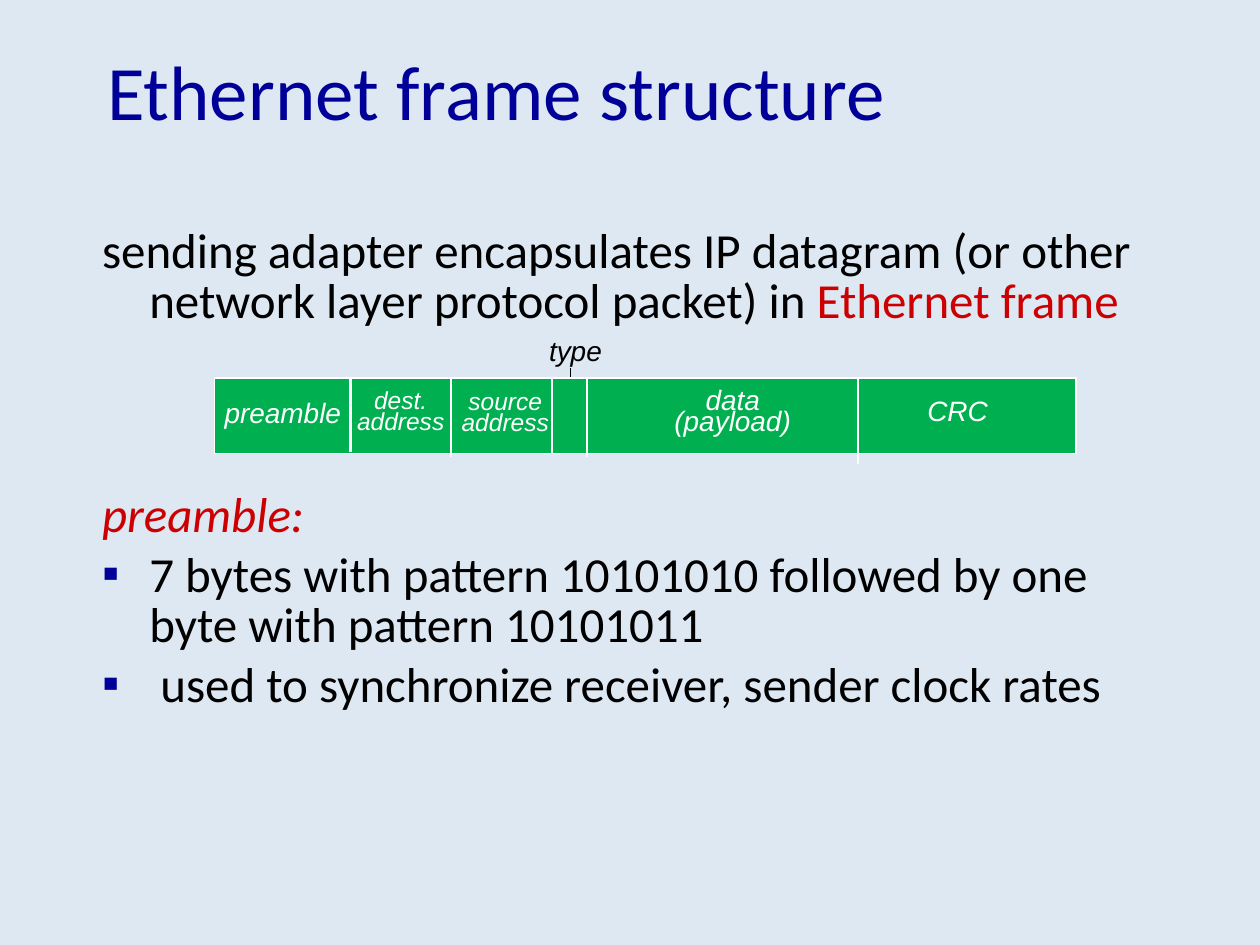
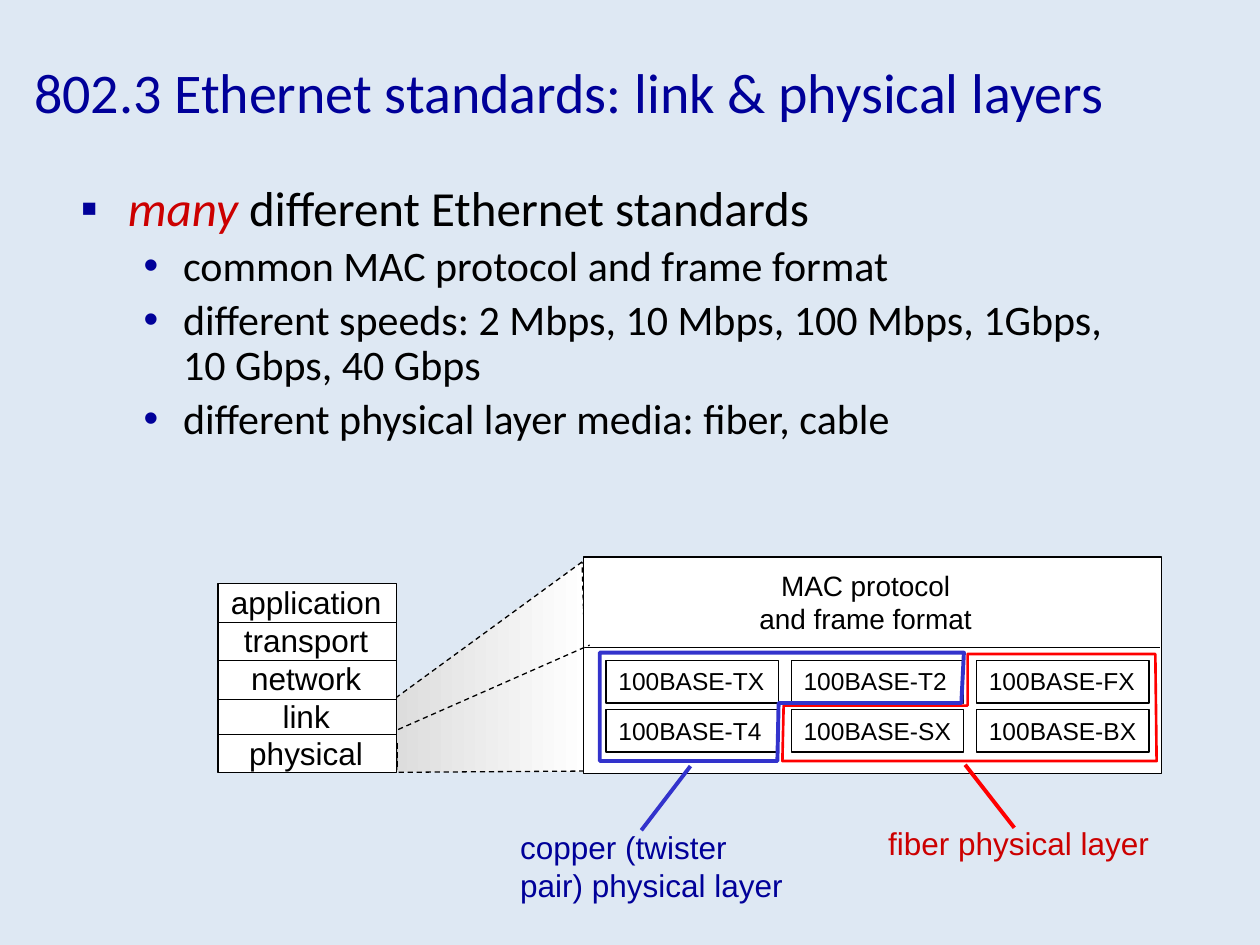
import pptx
import pptx.util
import pptx.dml.color
import pptx.enum.dml
import pptx.enum.shapes
import pptx.enum.text
import pptx.oxml
import pptx.oxml.ns
from dataclasses import dataclass

Inches = pptx.util.Inches
Pt = pptx.util.Pt
Align = pptx.enum.text.PP_ALIGN
Anchor = pptx.enum.text.MSO_ANCHOR
Fit = pptx.enum.text.MSO_AUTO_SIZE


@dataclass(frozen=True)
class Theme:
    back: str = "DEE8F3"
    navy: str = "000099"
    black: str = "000000"
    white: str = "FFFFFF"
    grey: str = "DDDDDD"
    green: str = "00B050"
    brick: str = "CC0000"
    red: str = "FF0000"
    blue: str = "3333CC"
    head: str = "Calibri"
    label: str = "Arial"
    big: int = 44
    title: int = 32
    body: int = 28
    sub: int = 24
    note: int = 18
    mid: int = 16
    small: int = 14
    thin: float = 0.75
    rule: float = 1.5
    thick: float = 2.25


T = Theme()


def rgb(code):
    return pptx.dml.color.RGBColor.from_string(code)


def add_run(para, text, font, size, color, slant=False):
    run = para.add_run()
    run.text = text
    run.font.name = font
    run.font.size = Pt(size)
    run.font.color.rgb = rgb(color)
    run.font.italic = slant


def place(shape, left, top, width, height):
    shape.left, shape.top = Inches(left), Inches(top)
    shape.width, shape.height = Inches(width), Inches(height)


def add_page(deck, title, size, box):
    page = deck.slides.add_slide(deck.slide_layouts[1])
    place(page.shapes.title, *box)
    frame = page.shapes.title.text_frame
    frame.auto_size = Fit.NONE
    frame.vertical_anchor = Anchor.MIDDLE
    para = frame.paragraphs[0]
    para.alignment = Align.LEFT
    add_run(para, title, T.head, size, T.navy)
    return page


def set_mark(para, mark):
    """Give the paragraph a navy bullet, or none."""
    props = para._p.get_or_add_pPr()
    space = pptx.oxml.ns.nsdecls("a")
    parts = [f"<a:buNone {space}/>"]
    if mark:
        parts = [f'<a:buClr {space}><a:srgbClr val="{T.navy}"/></a:buClr>',
                 f'<a:buFont {space} typeface="{T.label}"/>',
                 f'<a:buChar {space} char="{mark}"/>']
    for part in parts:
        props.append(pptx.oxml.parse_xml(part))


def fill_body(page, box, pitch, items):
    """Items are (level, bullet, space before, runs)."""
    body = page.placeholders[1]
    place(body, *box)
    frame = body.text_frame
    frame.auto_size = Fit.NONE
    for i, (level, mark, gap, runs) in enumerate(items):
        para = frame.add_paragraph() if i else frame.paragraphs[0]
        para.level = level
        para.line_spacing = pitch
        if gap:
            para.space_before = Pt(gap)
        set_mark(para, mark)
        for text, color, slant in runs:
            add_run(para, text, T.head, T.sub if level else T.body, color, slant)


def set_text(shape, lines, size, color, align=Align.LEFT, slant=False,
             pitch=None, wrap=False):
    frame = shape.text_frame
    frame.word_wrap = wrap
    frame.auto_size = Fit.SHAPE_TO_FIT_TEXT
    frame.vertical_anchor = Anchor.TOP
    for i, line in enumerate(lines):
        para = frame.add_paragraph() if i else frame.paragraphs[0]
        para.alignment = align
        if pitch:
            para.line_spacing = Pt(pitch)
        add_run(para, line, T.label, size, color, slant)


def add_label(page, box, lines, size, color, **style):
    shape = page.shapes.add_textbox(*map(Inches, box))
    set_text(shape, lines, size, color, **style)


def set_look(shape, fill, line, width):
    shape.shadow.inherit = False
    if fill:
        shape.fill.solid()
        shape.fill.fore_color.rgb = rgb(fill)
    else:
        shape.fill.background()
    shape.line.color.rgb = rgb(line)
    shape.line.width = Pt(width)


def add_box(page, box, fill, line):
    kind = pptx.enum.shapes.MSO_SHAPE.RECTANGLE
    shape = page.shapes.add_shape(kind, *map(Inches, box))
    set_look(shape, fill, line, T.thin)
    return shape


def add_line(page, start, end, color=T.black, width=T.thin, dash=False):
    kind = pptx.enum.shapes.MSO_CONNECTOR.STRAIGHT
    line = page.shapes.add_connector(kind, *map(Inches, start + end))
    line.line.color.rgb = rgb(color)
    line.line.width = Pt(width)
    if dash:
        line.line.dash_style = pptx.enum.dml.MSO_LINE.DASH
    space = pptx.oxml.ns.nsdecls("a")
    line._element.spPr.append(pptx.oxml.parse_xml(f"<a:effectLst {space}/>"))


def add_path(page, points, color, width):
    spots = [(Inches(x), Inches(y)) for x, y in points]
    pen = page.shapes.build_freeform(*spots[0], scale=1.0)
    pen.add_line_segments(spots[1:], close=True)
    shape = pen.convert_to_shape()
    set_look(shape, None, color, width)
    return shape


def draw_frame(page):
    """Ethernet frame with its fields."""
    add_line(page, (4.53, 2.92), (4.53, 3.14))
    add_box(page, (1.7, 3, 6.84, 0.6), T.green, T.white)
    for x, end in [(2.78, 3.59), (3.58, 3.63), (4.38, 3.6), (4.66, 3.63), (6.81, 3.68)]:
        add_line(page, (x, 3), (x, end), T.white, T.rule)

    # Field names
    fields = [
        ((2.72, 3.07, 0.92, 0.45), ["dest.", "address"], T.small),
        ((3.55, 3.08, 0.92, 0.45), ["source", "address"], T.small),
        ((5.06, 3.09, 1.51, 0.45), ["data (payload)"], T.mid),
        ((7.13, 3.17, 0.94, 0.29), ["CRC"], T.mid),
        ((1.66, 3.19, 1.17, 0.29), ["preamble"], T.mid),
    ]
    for box, lines, size in fields:
        add_label(page, box, lines, size, T.white, align=Align.CENTER,
                  slant=True, pitch=12, wrap=True)
    add_label(page, (4.26, 2.6, 0.84, 0.37), ["type"], T.mid, T.black,
              slant=True, wrap=True)


def draw_stack(page):
    """Protocol stack and the beam that widens from its lower layers."""
    beam = add_path(page, [(4.62, 4.46), (3.14, 5.54), (3.15, 6.13), (4.67, 6.12)],
                    T.black, T.thin)
    beam.line.dash_style = pptx.enum.dml.MSO_LINE.DASH
    beam.fill.gradient()
    beam.fill.gradient_angle = 0
    for stop, color, spot in zip(beam.fill.gradient_stops, (T.grey, T.white), (0, 1)):
        stop.color.rgb = rgb(color)
        stop.position = spot

    left, right = 1.73, 3.15
    add_box(page, (left, 4.63, right - left, 1.5), T.white, T.black)
    add_label(page, (left, 4.58, 1.4, 1.6),
              ["application", "transport", "network", "link", "physical"],
              T.note, T.black, align=Align.CENTER)
    for y in (4.94, 5.24, 5.55, 5.83):
        add_line(page, (left, y), (right, y))
    for x in (left, right):
        add_line(page, (x, 5.9), (x, 6.09), dash=True)


def draw_media(page):
    """MAC panel with the standards, outlined by medium."""
    add_box(page, (4.63, 4.42, 4.59, 1.72), T.white, T.black)
    add_line(page, (4.64, 5.14), (9.21, 5.14))
    add_label(page, (5.92, 4.46, 1.9, 0.64), ["MAC protocol", "and frame format"],
              T.mid, T.black, align=Align.CENTER)
    add_line(page, (3.16, 5.79), (4.68, 5.12), dash=True)

    # Grid of standards
    grid = [("TX", "T2", "FX"), ("T4", "SX", "BX")]
    for row, names in enumerate(grid):
        for col, name in enumerate(names):
            box = (4.81 + 1.47 * col, 5.24 + 0.39 * row, 1.37, 0.34)
            chip = add_box(page, box, None, T.black)
            set_text(chip, [f"100BASE-{name}"], T.small, T.black)

    # Fiber
    add_path(page, [(7.68, 5.19), (7.68, 5.6), (6.22, 5.6), (6.21, 6.04),
                    (9.18, 6.04), (9.17, 5.19)], T.red, T.rule)
    add_line(page, (7.66, 6.07), (8.05, 6.57), T.red, T.thick)
    add_label(page, (6.95, 6.49, 2.29, 0.4), ["fiber physical layer"], T.note, T.brick)

    # Copper
    add_path(page, [(7.65, 5.18), (7.63, 5.58), (6.18, 5.58), (6.17, 6.04),
                    (4.76, 6.04), (4.76, 5.18)], T.blue, T.thick)
    add_line(page, (5.48, 6.08), (5.09, 6.59), T.blue, T.thick)
    add_label(page, (4.03, 6.52, 2.31, 0.71),
              ["copper (twister", "pair) physical layer"], T.note, T.navy)


def main():
    deck = pptx.Presentation()
    deck.slide_width, deck.slide_height = Inches(10), Inches(7.5)
    ground = deck.slide_master.background.fill
    ground.solid()
    ground.fore_color.rgb = rgb(T.back)

    # Frame structure
    page = add_page(deck, "Ethernet frame structure", T.big, (0.75, 0.38, 8.5, 0.67))
    fill_body(page, (0.71, 1.76, 8.5, 4.75), 0.85, [
        (0, None, None, [
            ("sending adapter encapsulates IP datagram (or other network layer "
             "protocol packet) in ", T.black, False),
            ("Ethernet frame", T.brick, False)]),
        (0, None, 94, [("preamble:", T.brick, True)]),
        (0, "▪", None, [("7 bytes with pattern 10101010 followed by one byte "
                         "with pattern 10101011", T.black, False)]),
        (0, "▪", None, [(" used to synchronize receiver, sender clock rates",
                         T.black, False)]),
    ])
    draw_frame(page)

    # Standards
    page = add_page(deck, "802.3 Ethernet standards: link & physical layers",
                    T.title, (0.17, 0.1, 9.53, 1.25))
    points = ["common MAC protocol and frame format",
              "different speeds: 2 Mbps, 10 Mbps, 100 Mbps, 1Gbps, 10 Gbps, 40 Gbps",
              "different physical layer media: fiber, cable"]
    fill_body(page, (0.54, 1.41, 8.5, 2.3), 0.9, [
        (0, "▪", None, [("many ", T.brick, True),
                        ("different Ethernet standards", T.black, False)]),
        *[(1, "•", None, [(point, T.black, False)]) for point in points],
    ])
    draw_stack(page)
    draw_media(page)

    deck.save("out.pptx")


if __name__ == "__main__":
    main()
